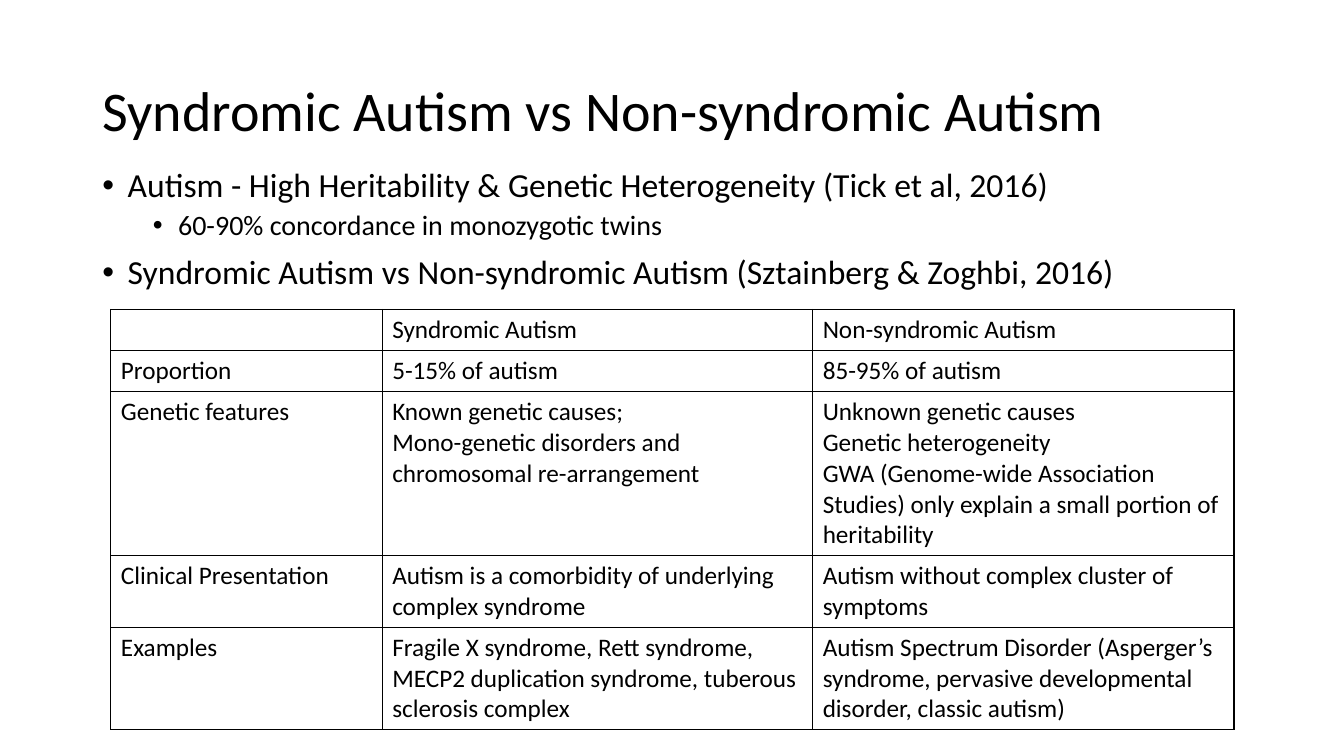
import pptx
import pptx.util
import pptx.dml.color
import pptx.enum.text
import pptx.oxml
import pptx.oxml.ns

COLORS = {"ink": "000000", "paper": "FFFFFF"}
COLUMNS, ROWS = 160, 90
TITLE = "Syndromic Autism vs Non-syndromic Autism"
POINTS = [
    (0, "Autism - High Heritability & Genetic Heterogeneity (Tick et al, 2016)"),
    (1, "60-90% concordance in monozygotic twins"),
    (0, "Syndromic Autism vs Non-syndromic Autism (Sztainberg & Zoghbi, 2016)"),
]
COMPARISON = [
    ["", "Syndromic Autism", "Non-syndromic Autism"],
    ["Proportion", "5-15% of autism", "85-95% of autism"],
    ["Genetic features",
     "Known genetic causes;\nMono-genetic disorders and chromosomal re-arrangement",
     "Unknown genetic causes\nGenetic heterogeneity\nGWA (Genome-wide Association Studies) "
     "only explain a small portion of heritability"],
    ["Clinical Presentation",
     "Autism is a comorbidity of underlying complex syndrome",
     "Autism without complex cluster of symptoms"],
    ["Examples",
     "Fragile X syndrome, Rett syndrome, MECP2 duplication syndrome, tuberous sclerosis complex",
     "Autism Spectrum Disorder (Asperger’s syndrome, pervasive developmental disorder, "
     "classic autism)"],
]


class Deck:
    def __init__(self, font_name):
        self.font_name = font_name
        self.presentation = pptx.Presentation()
        self.presentation.slide_width = pptx.util.Inches(13.33)
        self.presentation.slide_height = pptx.util.Inches(7.5)
        self.slide = self.presentation.slides.add_slide(self.presentation.slide_layouts[1])
        background = self.slide.background.fill
        background.solid()
        background.fore_color.rgb = self.color("paper")

    def color(self, key):
        return pptx.dml.color.RGBColor.from_string(COLORS[key])

    def across(self, columns):
        return round(self.presentation.slide_width * columns / COLUMNS)

    def down(self, rows):
        return round(self.presentation.slide_height * rows / ROWS)

    def place(self, holder, left, top, width, height, anchor):
        holder.left, holder.top = self.across(left), self.down(top)
        holder.width, holder.height = self.across(width), self.down(height)
        frame = holder.text_frame
        frame.word_wrap = True
        frame.auto_size = pptx.enum.text.MSO_AUTO_SIZE.NONE
        frame.vertical_anchor = anchor
        return frame

    def style(self, paragraph, size, line_spacing=1.0, space_before=0):
        paragraph.alignment = pptx.enum.text.PP_ALIGN.LEFT
        paragraph.line_spacing = line_spacing
        paragraph.space_before = pptx.util.Pt(space_before)
        paragraph.font.name = self.font_name
        paragraph.font.size = pptx.util.Pt(size)
        paragraph.font.color.rgb = self.color("ink")

    def title(self, text, *box):
        frame = self.place(self.slide.shapes.title, *box, pptx.enum.text.MSO_ANCHOR.MIDDLE)
        frame.text = text
        self.style(frame.paragraphs[0], 40, 0.9)

    def bullet(self, paragraph, indent):
        properties = paragraph._p.get_or_add_pPr()
        properties.set("marL", str(pptx.util.Inches(indent)))
        properties.set("indent", str(pptx.util.Inches(-0.25)))
        for tag, key, value in (("buFont", "typeface", "Arial"), ("buChar", "char", "•")):
            properties.append(pptx.oxml.parse_xml(
                f'<a:{tag} {pptx.oxml.ns.nsdecls("a")} {key}="{value}"/>'))

    def bullets(self, points, *box):
        frame = self.place(self.slide.placeholders[1], *box, pptx.enum.text.MSO_ANCHOR.TOP)
        frame.text = "\n".join(text for _, text in points)
        for index, (paragraph, (level, _)) in enumerate(zip(frame.paragraphs, points)):
            paragraph.level = level
            self.bullet(paragraph, 0.25 + 0.5 * level)
            space_before = (10, 5)[level] if index else 0
            self.style(paragraph, (24, 20)[level], 0.9, space_before)

    def borders(self, cell):
        properties = cell._tc.get_or_add_tcPr()
        for position, side in enumerate("LRTB"):
            properties.insert(position, pptx.oxml.parse_xml(
                f'<a:ln{side} {pptx.oxml.ns.nsdecls("a")} w="{pptx.util.Pt(1)}"><a:solidFill>'
                f'<a:srgbClr val="{COLORS["ink"]}"/></a:solidFill></a:ln{side}>'))

    def table(self, records, left, top, widths, row_height):
        table = self.slide.shapes.add_table(
            len(records), len(widths), self.across(left), self.down(top),
            self.across(sum(widths)), self.down(row_height * len(records))).table
        table.first_row = table.horz_banding = False
        for column, width in zip(table.columns, widths):
            column.width = self.across(width)
        for row, record in zip(table.rows, records):
            row.height = self.down(row_height)
            for cell, text in zip(row.cells, record):
                cell.text = text
                cell.fill.background()
                self.borders(cell)
                for paragraph in cell.text_frame.paragraphs:
                    self.style(paragraph, 18)


def main():
    deck = Deck("Calibri")
    deck.title(TITLE, 11, 4.8, 138, 17.4)
    deck.bullets(POINTS, 11, 19.44, 138, 59.88)
    deck.table(COMPARISON, 13.2, 36.84, (32.3, 51.25, 50.15), 4.9)
    deck.presentation.save("out.pptx")


if __name__ == "__main__":
    main()
